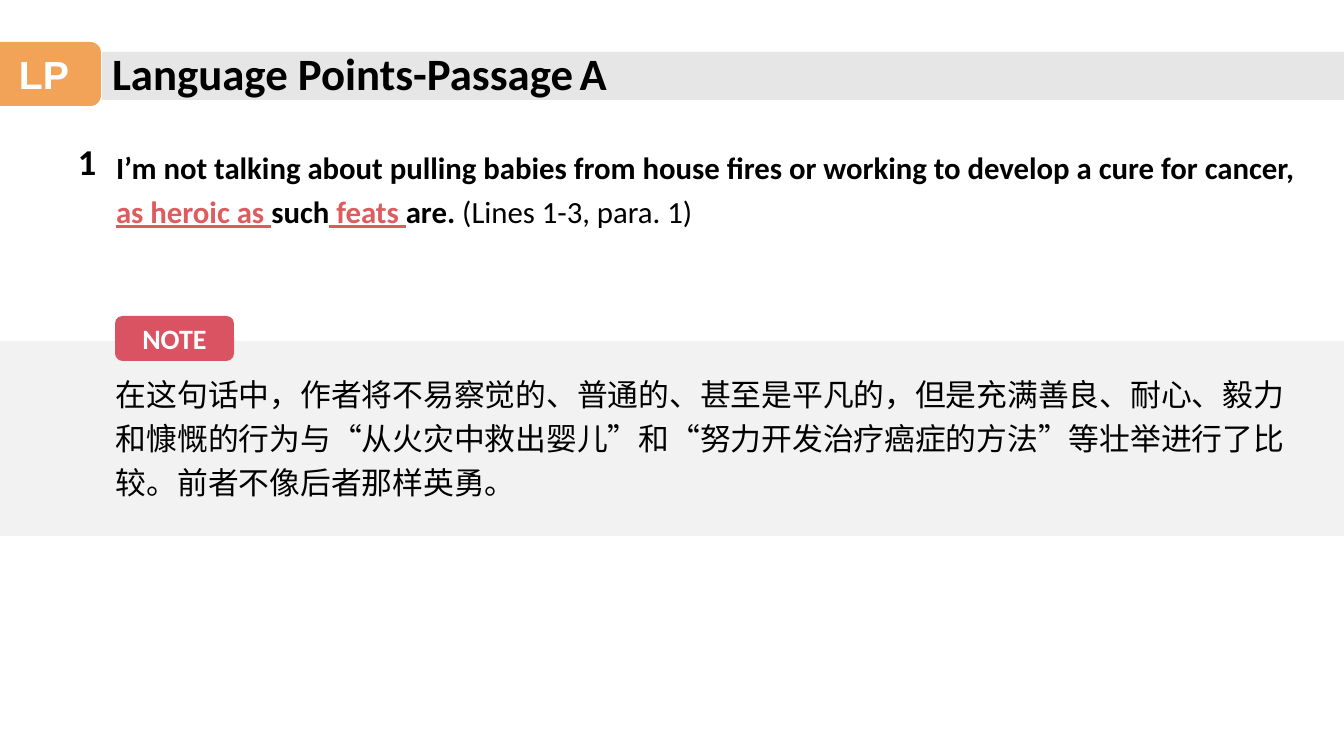
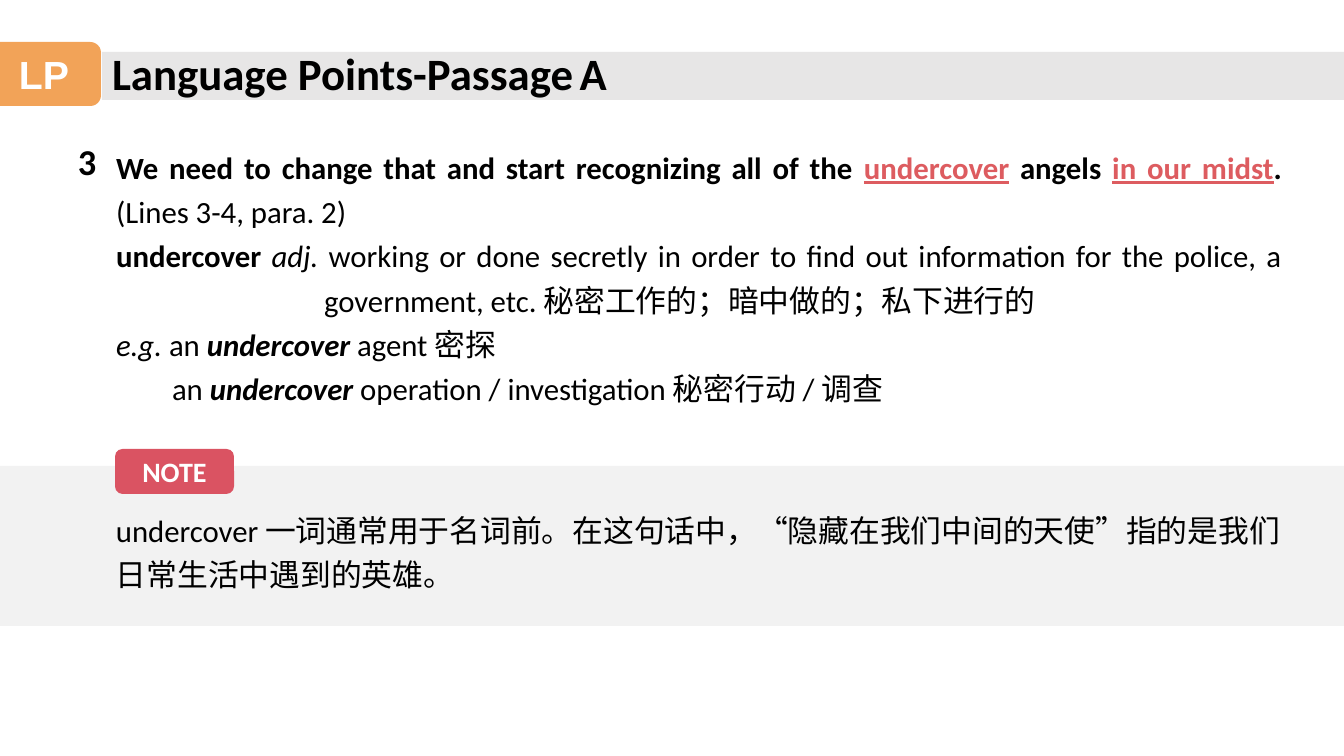
from lxml import etree
from pptx import Presentation
from pptx.dml.color import RGBColor
from pptx.enum.shapes import MSO_SHAPE
from pptx.enum.text import MSO_ANCHOR, MSO_AUTO_SIZE, PP_ALIGN
from pptx.oxml.ns import qn
from pptx.util import Pt

RECT, ROUND = MSO_SHAPE.RECTANGLE, MSO_SHAPE.ROUNDED_RECTANGLE
LEFT, CENTER, JUSTIFY = PP_ALIGN.LEFT, PP_ALIGN.CENTER, PP_ALIGN.JUSTIFY
TOP, MIDDLE = MSO_ANCHOR.TOP, MSO_ANCHOR.MIDDLE
FIXED = MSO_AUTO_SIZE.NONE

BLACK = RGBColor(0x00, 0x00, 0x00)
WHITE = RGBColor(0xFF, 0xFF, 0xFF)
ORANGE = RGBColor(0xF2, 0xA3, 0x58)
SILVER = RGBColor(0xE7, 0xE6, 0xE6)
PALE = RGBColor(0xF2, 0xF2, 0xF2)
ROSE = RGBColor(0xDA, 0x53, 0x62)
RED = RGBColor(0xDD, 0x5C, 0x60)

# Run styles
BOLD = {"bold": True}
ITALIC = {"italic": True}
STRONG = {"bold": True, "italic": True}
KEY = {"bold": True, "underline": True, "color": RED}

WIDE, HIGH = 1344, 756
SCALE = 914400 / 100.8


def px(n):
    return round(n * SCALE)


def place(shape, box):
    shape.left, shape.top, shape.width, shape.height = map(px, box)


def style(font, size, color=BLACK, face="Calibri", bold=False,
          italic=False, underline=False):
    font.name, font.size, font.color.rgb = face, Pt(size), color
    font.bold, font.italic, font.underline = bold, italic, underline


def write(shape, paras, align=LEFT, anchor=TOP, lines=1.0, hangs=(), **fmt):
    """Fill a shape; each paragraph is a list of (text, style) runs.

    hangs maps a paragraph index to its (margin, first-line indent).
    """
    frame = shape.text_frame
    frame.word_wrap, frame.auto_size = True, FIXED
    frame.vertical_anchor = anchor
    for i, runs in enumerate(paras):
        para = frame.paragraphs[0] if i == 0 else frame.add_paragraph()
        props = para._p.get_or_add_pPr()
        margin, indent = dict(hangs).get(i, (0, 0))
        props.set("marL", str(px(margin)))
        props.set("indent", str(px(indent)))
        etree.SubElement(props, qn("a:buNone"))
        para.alignment, para.line_spacing = align, lines
        para.space_before = para.space_after = Pt(0)
        for text, extra in runs:
            run = para.add_run()
            run.text = text
            style(run.font, **{**fmt, **extra})


def block(slide, kind, box, fill):
    shape = slide.shapes.add_shape(kind, *map(px, box))
    shape.shadow.inherit = False
    shape.fill.solid()
    shape.fill.fore_color.rgb = fill
    shape.line.fill.background()
    return shape


def label(slide, box, fill, text, **fmt):
    write(block(slide, ROUND, box, fill), [[(text, BOLD)]],
          align=CENTER, anchor=MIDDLE, color=WHITE, **fmt)


def send_back(slide, shape):
    slide.shapes._spTree.insert(2, shape._element)


def header(slide, x, y):
    """Grey title band with the orange tab at its left."""
    band = block(slide, RECT, (x, y + 10, WIDE - x, 48), SILVER)
    send_back(slide, band)
    label(slide, (-13, y, 114, 64), ORANGE, "LP", size=28, face="Arial")
    title = slide.shapes.title
    place(title, (x, y - 1, 549, 65))
    write(title, [[("Language Points-Passage", BOLD),
                   (" ", {"size": 18}), ("A", BOLD)]], size=32)


def point(slide, box, number, paras, **fmt):
    """Numbered sentence with its explanation."""
    x, y, w, h = box
    num = slide.shapes.add_textbox(*map(px, (x, y, 47, 54)))
    write(num, [[(number, BOLD)]], size=26)
    body = slide.placeholders[1]
    place(body, (x + 38, y + 2, w, h))
    write(body, paras, lines=1.2, size=22, **fmt)


def note(slide, top, height, rise, drop, text):
    """Full-width band; its tag starts rise above, its text drop below."""
    block(slide, RECT, (0, top, WIDE, height), PALE)
    area = (106, top + drop, 1193, height - drop - 20)
    words = slide.shapes.add_textbox(*map(px, area))
    write(words, [[(text, {})]], lines=1.2, size=22)
    label(slide, (115, top - rise, 119, 45), ROSE, "NOTE", size=20)


def page(deck):
    slide = deck.slides.add_slide(deck.slide_layouts[1])
    header(slide, 102, 42)
    return slide


def main():
    deck = Presentation()
    deck.slide_width, deck.slide_height = px(WIDE), px(HIGH)

    # Point 1
    slide = page(deck)
    point(slide, (68, 134, 1217, 97), "1", [[
        ("I’m not talking about pulling babies from house fires or working "
         "to develop a cure for cancer, ", BOLD),
        ("as heroic as ", KEY), ("such", BOLD), (" feats ", KEY),
        ("are. ", BOLD), ("(Lines 1-3, para. 1)", {})]])
    note(slide, 341, 195, 25, 22,
         "在这句话中，作者将不易察觉的、普通的、甚至是平凡的，但是充满善良、"
         "耐心、毅力和慷慨的行为与“从火灾中救出婴儿”和“努力开发治疗癌症的方法”"
         "等壮举进行了比较。前者不像后者那样英勇。")

    # Point 3
    slide = page(deck)
    point(slide, (68, 134, 1186, 275), "3", [
        [("We need to change that and start recognizing all of the ", BOLD),
         ("undercover", KEY), (" angels ", BOLD), ("in our midst", KEY),
         (". ", BOLD), ("(Lines 3-4, para. 2)", {})],
        [("undercover ", BOLD), ("adj.", ITALIC),
         (" working or done secretly in order to find out information for "
          "the police, a government, etc. "
          "秘密工作的；暗中做的；私下进行的", {})],
        [("e.g.", ITALIC), (" an ", {}), ("undercover", STRONG),
         (" agent 密探", {})],
        [(" an ", {}), ("undercover", STRONG),
         (" operation / investigation 秘密行动 / 调查", {})],
    ], align=JUSTIFY, hangs={1: (208, -208), 3: (0, 49)})
    note(slide, 466, 160, 17, 33,
         "undercover 一词通常用于名词前。在这句话中，“隐藏在我们中间的天使”"
         "指的是我们日常生活中遇到的英雄。")

    deck.save("out.pptx")


if __name__ == "__main__":
    main()
